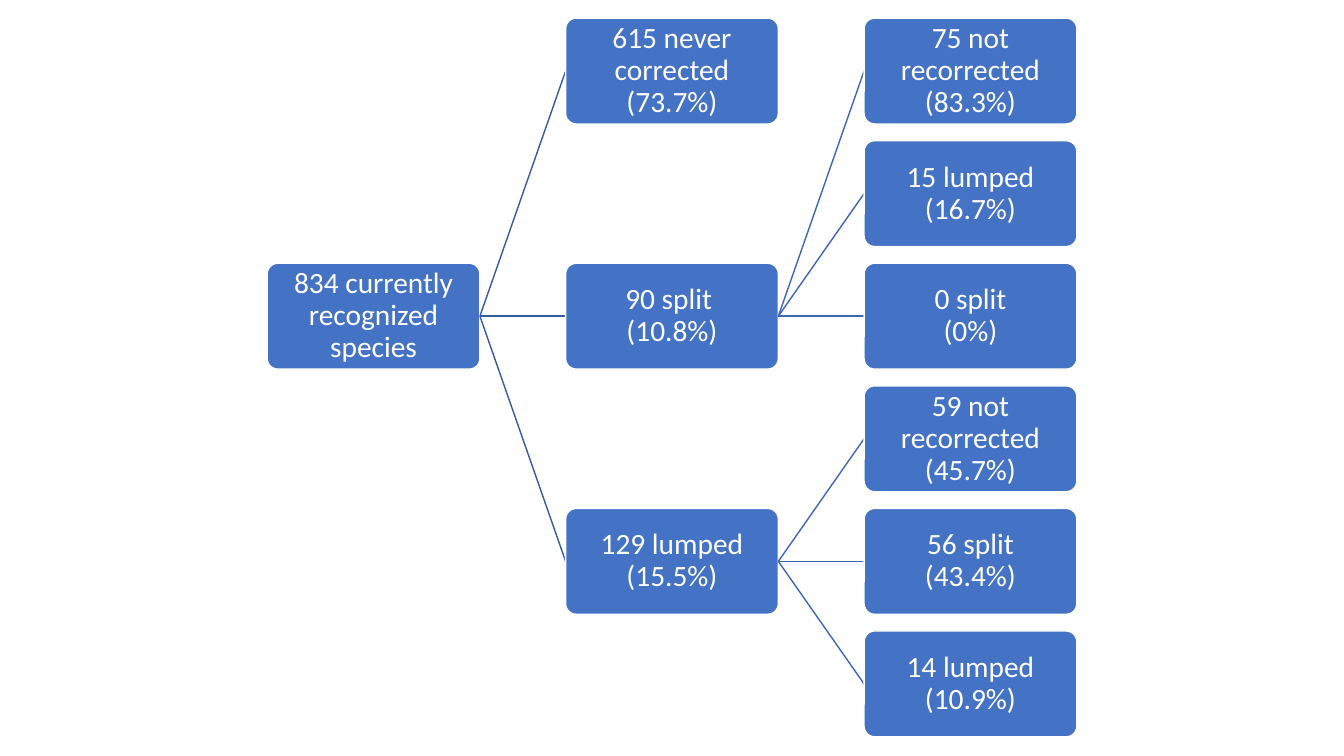
"""Build a slide with a tree of species counts and their later corrections."""
from lxml import etree
from pptx import Presentation
from pptx.dml.color import RGBColor
from pptx.enum import shapes, text
from pptx.oxml.ns import qn
from pptx.util import Inches, Pt

COLORS = {"box": "4472C4", "white": "FFFFFF", "first": "365B9D", "second": "3E67B2"}
BRANCH_COLORS = ["first", "second"]
COLUMNS = [2.65, 5.61, 8.57]
FIRST_TOP, LAST_TOP, LAST_ROW = 0.18, 6.26, 5
BOX_WIDTH, BOX_HEIGHT = 2.11, 1.05

FRAME_FORMAT = {
    "word_wrap": True,
    "vertical_anchor": text.MSO_ANCHOR.MIDDLE,
    "margin_left": Inches(0.04),
    "margin_right": Inches(0.04),
    "margin_top": Inches(0.04),
    "margin_bottom": Inches(0.04),
}
PARAGRAPH_FORMAT = {"alignment": text.PP_ALIGN.CENTER, "line_spacing": 0.9}
FONT_FORMAT = {"name": "Calibri", "size": Pt(21)}

SPECIES_TREE = ("834 currently recognized species", 2, [
    ("615 never corrected (73.7%)", 0, []),
    ("90 split \v(10.8%)", 2, [
        ("75 not recorrected (83.3%)", 0, []),
        ("15 lumped (16.7%)", 1, []),
        ("0 split\v(0%)", 2, []),
    ]),
    ("129 lumped (15.5%)", 4, [
        ("59 not recorrected (45.7%)", 3, []),
        ("56 split\v(43.4%)", 4, []),
        ("14 lumped (10.9%)", 5, []),
    ]),
])


def color(key):
    return RGBColor.from_string(COLORS[key])


def apply_format(target, values):
    for attribute, value in values.items():
        setattr(target, attribute, value)


def row_top(row):
    return FIRST_TOP + row * (LAST_TOP - FIRST_TOP) / LAST_ROW


def add_count_box(slide, label, level, row):
    count_box = slide.shapes.add_shape(
        shapes.MSO_SHAPE.ROUNDED_RECTANGLE, Inches(COLUMNS[level]),
        Inches(row_top(row)), Inches(BOX_WIDTH), Inches(BOX_HEIGHT))
    count_box.adjustments[0] = 0.1
    count_box.shadow.inherit = False
    count_box.fill.solid()
    count_box.fill.fore_color.rgb = color("box")
    count_box.line.color.rgb = color("white")
    count_box.line.width = Pt(1)
    frame = count_box.text_frame
    apply_format(frame, FRAME_FORMAT)
    paragraph = frame.paragraphs[0]
    paragraph.text = label
    apply_format(paragraph, PARAGRAPH_FORMAT)
    for run in paragraph.runs:
        apply_format(run.font, FONT_FORMAT)
        run.font.color.rgb = color("white")


def add_branch(slide, level, parent_row, child_row):
    branch = slide.shapes.add_connector(
        shapes.MSO_CONNECTOR.STRAIGHT,
        Inches(COLUMNS[level] + BOX_WIDTH), Inches(row_top(parent_row) + BOX_HEIGHT / 2),
        Inches(COLUMNS[level + 1]), Inches(row_top(child_row) + BOX_HEIGHT / 2))
    branch.line.color.rgb = color(BRANCH_COLORS[level])
    branch.line.width = Pt(1)
    etree.SubElement(branch._element.spPr, qn("a:effectLst"))


def add_tree(slide, node, level=0):
    label, row, children = node
    add_count_box(slide, label, level, row)
    for child in children:
        add_branch(slide, level, row, child[1])
        add_tree(slide, child, level + 1)


def main():
    deck = Presentation()
    deck.slide_width, deck.slide_height = Inches(13.33), Inches(7.5)
    slide = deck.slides.add_slide(deck.slide_layouts[6])
    add_tree(slide, SPECIES_TREE)
    deck.save("out.pptx")


main()
